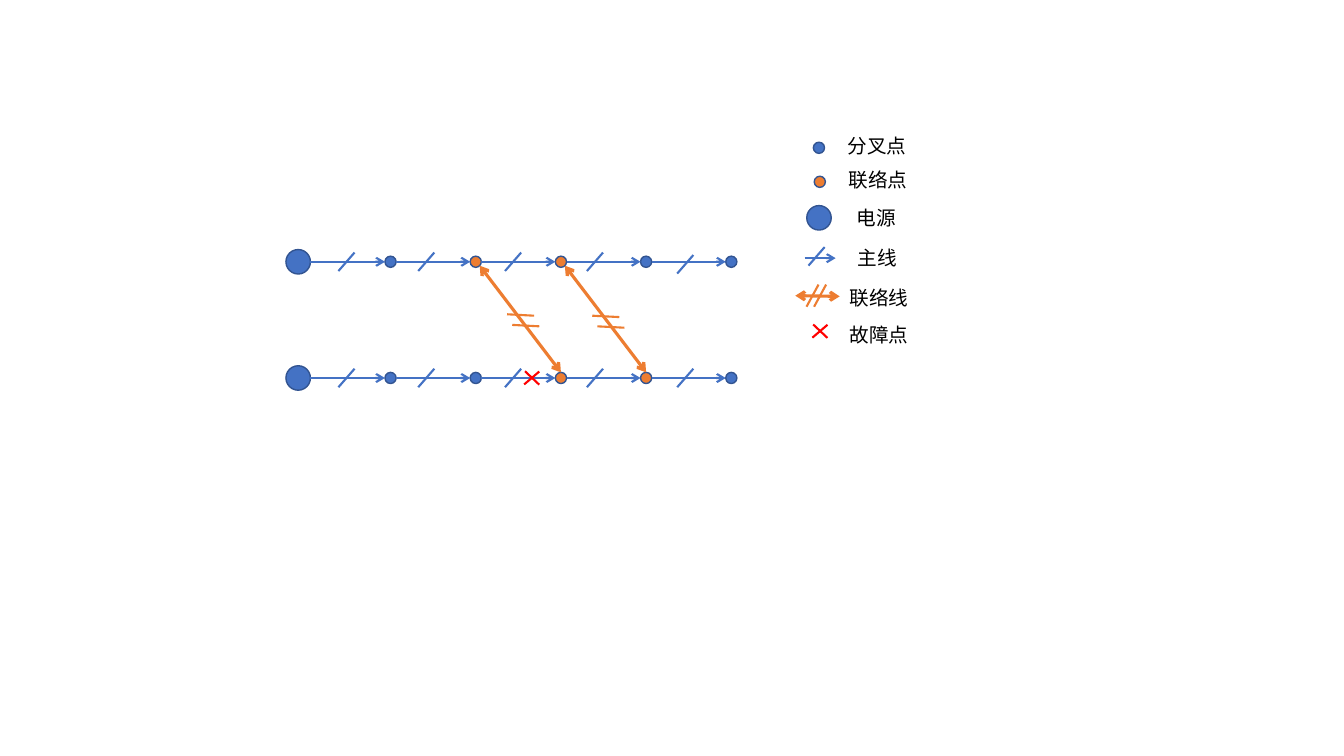
from lxml import etree
from pptx import Presentation
from pptx.dml.color import RGBColor
from pptx.enum import shapes
from pptx.oxml import ns
from pptx.util import Pt

COLORS = {"main": "4472C4", "outline": "325491", "tie": "ED7D31",
          "fault": "FF0000", "text": "000000"}
FONT = "Noto Sans CJK SC"
SOURCE_D, NODE_D = 17.5, 8
PITCH = 60.85        # between neighbouring nodes
FIRST_NODE = 66      # from the source to the first node
SLASHES = (34.5, 91.5, 153.5, 212, 276.5)


def rgb(key):
    return RGBColor.from_string(COLORS[key])


def line(s, x1, y1, x2, y2, color, width=1.5, ends=()):
    """Draw a line; ends lists headEnd and tailEnd where arrows are wanted."""
    c = s.shapes.add_connector(shapes.MSO_CONNECTOR.STRAIGHT,
                               Pt(x1), Pt(y1), Pt(x2), Pt(y2))
    c.line.color.rgb = rgb(color)
    c.line.width = Pt(width)
    ln = c.line._get_or_add_ln()
    for end in ends:
        etree.SubElement(ln, ns.qn(f"a:{end}"), type="arrow")
    etree.SubElement(c._element.spPr, ns.qn("a:effectLst"))


def circle(s, x, y, d, color="main"):
    """Draw a circle of diameter d centred on x, y."""
    sp = s.shapes.add_shape(shapes.MSO_SHAPE.OVAL,
                            Pt(x - d / 2), Pt(y - d / 2), Pt(d), Pt(d))
    sp.shadow.inherit = False
    sp.fill.solid()
    sp.fill.fore_color.rgb = rgb(color)
    sp.line.color.rgb = rgb("outline")
    sp.line.width = Pt(1)


def slash(s, x, y, color="main", w=11.5, h=13.2):
    """Draw a rising stroke of size w by h centred on x, y."""
    line(s, x + w / 2, y - h / 2, x - w / 2, y + h / 2, color)


def fault(s, x, y):
    slash(s, x, y, "fault", 10.8, 9.2)
    slash(s, x + 0.3, y, "fault", -10.2, 9.6)


def label(s, x, y, content):
    w = 14.4 * len(content) + 14.4
    tb = s.shapes.add_textbox(Pt(x), Pt(y), Pt(w), Pt(24.2))
    tf = tb.text_frame
    tf.word_wrap = True
    tf.text = content
    r = tf.paragraphs[0].runs[0]
    r.font.size = Pt(14)
    r.font.color.rgb = rgb("text")
    r.font.name = FONT
    etree.SubElement(r.font._element, ns.qn("a:ea"), typeface=FONT)


def feeder(s, x, y, tie_nodes, last_slash_drop=0):
    """Draw a source at x, y and its chain of nodes; return the node centres."""
    circle(s, x, y, SOURCE_D)
    nodes = [x + FIRST_NODE + i * PITCH for i in range(len(SLASHES))]
    start = x + SOURCE_D / 2
    for i, (node, offset) in enumerate(zip(nodes, SLASHES)):
        circle(s, node, y, NODE_D, "tie" if i in tie_nodes else "main")
        line(s, start, y, node - NODE_D / 2, y, "main", ends=["tailEnd"])
        drop = last_slash_drop if i == len(SLASHES) - 1 else 0
        slash(s, x + offset, y + drop)
        start = node + NODE_D / 2
    return nodes


def tie(s, x1, y1, x2, y2, bar_drop):
    """Link an upper node to a lower one, with two short bars across the link."""
    line(s, x1 + 2.8, y1 + 2.8, x2, y2 - NODE_D / 2, "tie", 2.25,
         ["headEnd", "tailEnd"])
    for dx, dy in ((32, 38), (35.7, 45.6)):
        slash(s, x1 + dx, y1 + dy + bar_drop, "tie", -19.3, 1)


def network(s, x, y, gap):
    """Draw two feeders gap apart, their ties and the fault."""
    upper = feeder(s, x, y, (1, 2), 1.8)
    lower = feeder(s, x, y + gap, (2, 3))
    for i, bar_drop in ((1, 0), (2, 1)):
        tie(s, upper[i], y, lower[i + 1], y + gap, bar_drop)
    fault(s, x + 166.8, y + gap)


def legend(s, x, y):
    """Draw the key with its symbols centred around x, starting at y."""
    circle(s, x, y + 13.4, NODE_D)
    circle(s, x + 0.6, y + 37.7, NODE_D, "tie")
    circle(s, x, y + 63.4, SOURCE_D)
    line(s, x - 10.2, y + 92.2, x + 11.9, y + 92.2, "main", ends=["tailEnd"])
    slash(s, x - 1.7, y + 90.9)
    line(s, x + 14.8, y + 119.5, x - 16.9, y + 119, "tie", 2.25,
         ["headEnd", "tailEnd"])
    for dx in (-4.6, 0.8):
        slash(s, x + dx, y + 119, "tie", 8.6, 15.8)
    fault(s, x + 0.7, y + 144.4)
    for dx, dy, content in ((13.3, 0, "分叉点"), (14, 24.4, "联络点"),
                            (20, 51, "电源"), (20.5, 80, "主线"),
                            (14.8, 108.7, "联络线"), (14.8, 134.6, "故障点")):
        label(s, x + dx, y + dy, content)


def main():
    prs = Presentation()
    prs.slide_width, prs.slide_height = Pt(960), Pt(540)
    s = prs.slides.add_slide(prs.slide_layouts[6])
    network(s, 213, 187, 83)
    legend(s, 585, 92.2)
    prs.save("out.pptx")


if __name__ == "__main__":
    main()
